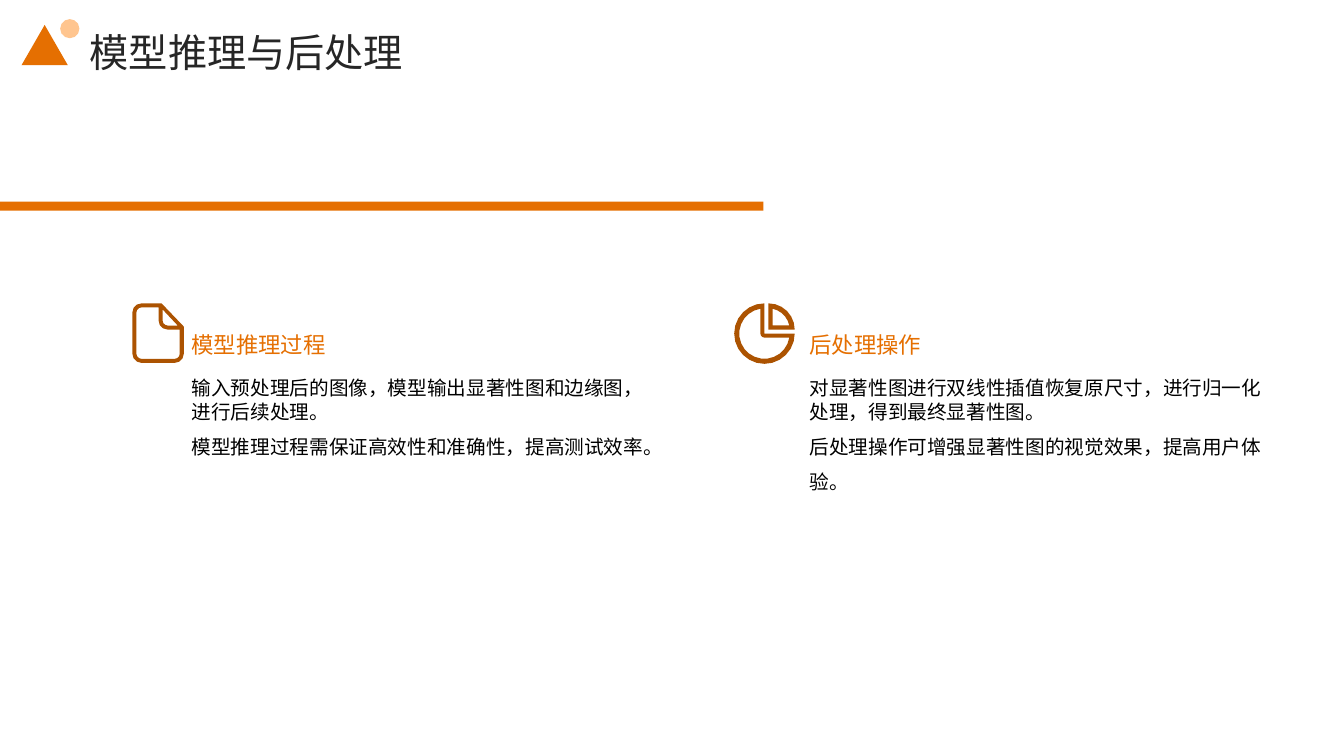
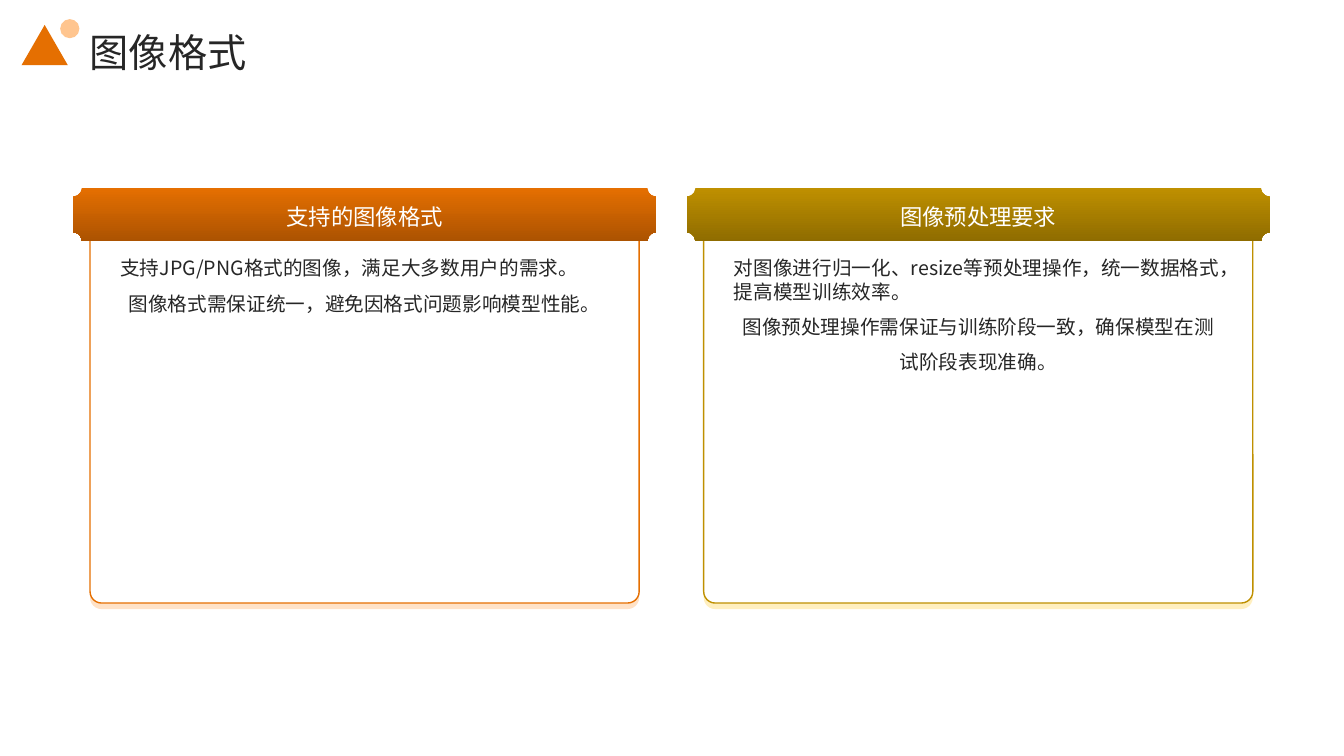
from math import cos, radians, sin

from lxml.etree import SubElement
from pptx import Presentation
from pptx.dml.color import RGBColor
from pptx.enum.shapes import MSO_SHAPE as Preset
from pptx.enum.text import MSO_ANCHOR as Anchor, PP_ALIGN as Align
from pptx.oxml.ns import qn
from pptx.util import Inches, Pt

SLIDE_W, SLIDE_H = Inches(13.33), Inches(7.5)
COL, ROW = SLIDE_W / 100, SLIDE_H / 100  # grid of 100 columns by 100 rows
ICON_UNIT = SLIDE_H / 750
FONT = "Noto Sans CJK SC"
COLORS = {
    "white": "FFFFFF", "black": "000000", "ink": "262626",
    "orange": "E56F01", "rust": "AC5301", "peach": "FFC58F", "blush": "FFE2C7",
    "gold": "BF9000", "bronze": "8F6C00", "cream": "FFEFBF",
}

TOPICS = [
    {"heading": "模型推理过程", "icon": "page", "icon_offset": 4.4,
     "body": ["输入预处理后的图像，模型输出显著性图和边缘图，进行后续处理。",
              "模型推理过程需保证高效性和准确性，提高测试效率。"]},
    {"heading": "后处理操作", "icon": "pie", "icon_offset": 5.6,
     "body": ["对显著性图进行双线性插值恢复原尺寸，进行归一化处理，得到最终显著性图。",
              "后处理操作可增强显著性图的视觉效果，提高用户体验。"]},
]
CARDS = [
    {"caption": "支持的图像格式", "main": "orange", "dark": "rust", "pale": "blush",
     "body": ["支持JPG/PNG格式的图像，满足大多数用户的需求。",
              "图像格式需保证统一，避免因格式问题影响模型性能。"]},
    {"caption": "图像预处理要求", "main": "gold", "dark": "bronze", "pale": "cream",
     "body": ["对图像进行归一化、resize等预处理操作，统一数据格式，提高模型训练效率。",
              "图像预处理操作需保证与训练阶段一致，确保模型在测试阶段表现准确。"]},
]


def rgb(color):
    return RGBColor.from_string(COLORS[color])


def grid(left, top, width, height):
    return [round(n) for n in (left * COL, top * ROW, width * COL, height * ROW)]


# Basic elements
def paint(shape, fill, line=None):
    shape.shadow.inherit = False
    shape.fill.solid()
    shape.fill.fore_color.rgb = rgb(fill)
    if line:
        shape.line.color.rgb = rgb(line)
        shape.line.width = Pt(1)
    else:
        shape.line.fill.background()
    return shape


def add_preset(slide, preset, box, fill, line=None):
    return paint(slide.shapes.add_shape(preset, *grid(*box)), fill, line)


def add_frame(slide, box, anchor):
    frame = slide.shapes.add_textbox(*grid(*box)).text_frame
    frame.word_wrap = True
    frame.vertical_anchor = anchor
    frame.margin_left = frame.margin_right = frame.margin_top = frame.margin_bottom = 0
    return frame


def write(paragraph, text, size, color, spacing, align=Align.LEFT):
    paragraph.alignment = align
    paragraph.line_spacing = spacing
    run = paragraph.add_run()
    run.text = text
    run.font.size = Pt(size)
    run.font.name = FONT
    run.font.color.rgb = rgb(color)
    SubElement(run.font._element, qn("a:ea"), typeface=FONT)


def add_label(slide, box, text, size, color, spacing, align=Align.LEFT):
    frame = add_frame(slide, box, Anchor.MIDDLE)
    write(frame.paragraphs[0], text, size, color, spacing, align)


def add_body(slide, box, sentences, color, last_align):
    """A tight opening sentence, then a looser closing one."""
    opening, closing = sentences
    frame = add_frame(slide, box, Anchor.TOP)
    write(frame.paragraphs[0], opening, 14, color, 1.0)
    write(frame.add_paragraph(), closing, 14, color, 1.5, last_align)


# Icons, as closed contours in icon units
def arc(cx, cy, radius, start, end):
    steps = round(abs(end - start) / (15 if radius > 10 else 30))
    angles = [radians(start + (end - start) * i / steps) for i in range(steps + 1)]
    return [(cx + radius * cos(a), cy + radius * sin(a)) for a in angles]


def page_corners(radius):
    return (arc(42, 50, radius, 0, 90) + arc(9, 50, radius, 90, 180)
            + arc(9, 9, radius, 180, 270))


def page_contours():
    outside = [(29, 0), (51, 23)] + page_corners(9)
    inside = [(26, 4)] + arc(35, 17, 9, 180, 90) + [(47, 26)] + page_corners(5)
    fold = [(30, 6), (45, 22)] + arc(35, 17, 5, 90, 180)
    return [outside, inside, fold]


def pie_contours():
    outside = [(30, 0), (30, 30)] + arc(30, 30, 30, 0, 270)
    inside = arc(30, 30, 25, 9, 261) + arc(30, 30, 4, 180, 90)
    slice_outside = [(34, 26)] + arc(34, 26, 26, 270, 360)
    slice_inside = [(38, 22)] + arc(34, 26, 21, 281, 349)
    return [outside, inside, slice_outside, slice_inside]


ICONS = {"page": page_contours, "pie": pie_contours}


def add_icon(slide, left, top, contours):
    def place(point):
        return left * COL + point[0] * ICON_UNIT, top * ROW + point[1] * ICON_UNIT

    builder = slide.shapes.build_freeform(*place(contours[0][0]))
    for index, contour in enumerate(contours):
        first, *rest = [place(point) for point in contour]
        if index:
            builder.move_to(*first)
        builder.add_line_segments(rest, close=True)
    paint(builder.convert_to_shape(), "rust")


# Parts of the slides
def add_titled_slide(deck, title):
    slide = deck.slides.add_slide(deck.slide_layouts[6])
    add_preset(slide, Preset.RECTANGLE, (0, 0, 100, 100), "white")
    add_label(slide, (6.68, 2, 85.13, 7.87), title, 28, "ink", 1.3)
    add_preset(slide, Preset.ISOSCELES_TRIANGLE, (1.6, 3.3, 3.45, 5.33), "orange")
    add_preset(slide, Preset.OVAL, (4.48, 2.53, 1.43, 2.53), "peach")
    return slide


def add_topic(slide, left, topic):
    width = 33.75
    add_icon(slide, left - topic["icon_offset"], 40.13, ICONS[topic["icon"]]())
    add_label(slide, (left, 41.27, width, 6.8), topic["heading"], 16, "orange", 1.5)
    add_body(slide, (left, 49.73, width, 36.67), topic["body"], "black", Align.LEFT)


def add_card(slide, left, card):
    top, width, height = 28.97, 40.86, 50.8
    inset, overhang = 2.25, 1.27
    # Pale edge below the outlined panel
    for drop, fill, line in ((0.8, card["pale"], None), (0, "white", card["main"])):
        panel = add_preset(slide, Preset.ROUNDED_RECTANGLE,
                           (left, top + drop, width, height), fill, line)
        panel.adjustments[0] = 0.03
    add_body(slide, (left + inset, 33.9, width - 2 * inset, 42),
             card["body"], "ink", Align.CENTER)
    # Banner with its caption
    banner = add_preset(slide, Preset.PLAQUE,
                        (left - overhang, 24.85, width + 2 * overhang, 7.03), card["main"])
    banner.fill.gradient()
    banner.fill.gradient_angle = 270
    for stop, position, color in zip(banner.fill.gradient_stops, (0, 1),
                                     (card["main"], card["dark"])):
        stop.position = position
        stop.color.rgb = rgb(color)
    add_label(slide, (left + 1.4, 26.27, width - 2.8, 4.27), card["caption"],
              16, "white", 1.1, Align.CENTER)


def main():
    deck = Presentation()
    deck.slide_width, deck.slide_height = SLIDE_W, SLIDE_H

    inference = add_titled_slide(deck, "模型推理与后处理")
    add_preset(inference, Preset.RECTANGLE, (0, 26.67, 56.8, 1.2), "orange")
    for index, topic in enumerate(TOPICS):
        add_topic(inference, 14.25 + 45.98 * index, topic)

    formats = add_titled_slide(deck, "图像格式")
    for index, card in enumerate(CARDS):
        add_card(formats, 6.7 + 45.66 * index, card)

    deck.save("out.pptx")


if __name__ == "__main__":
    main()
